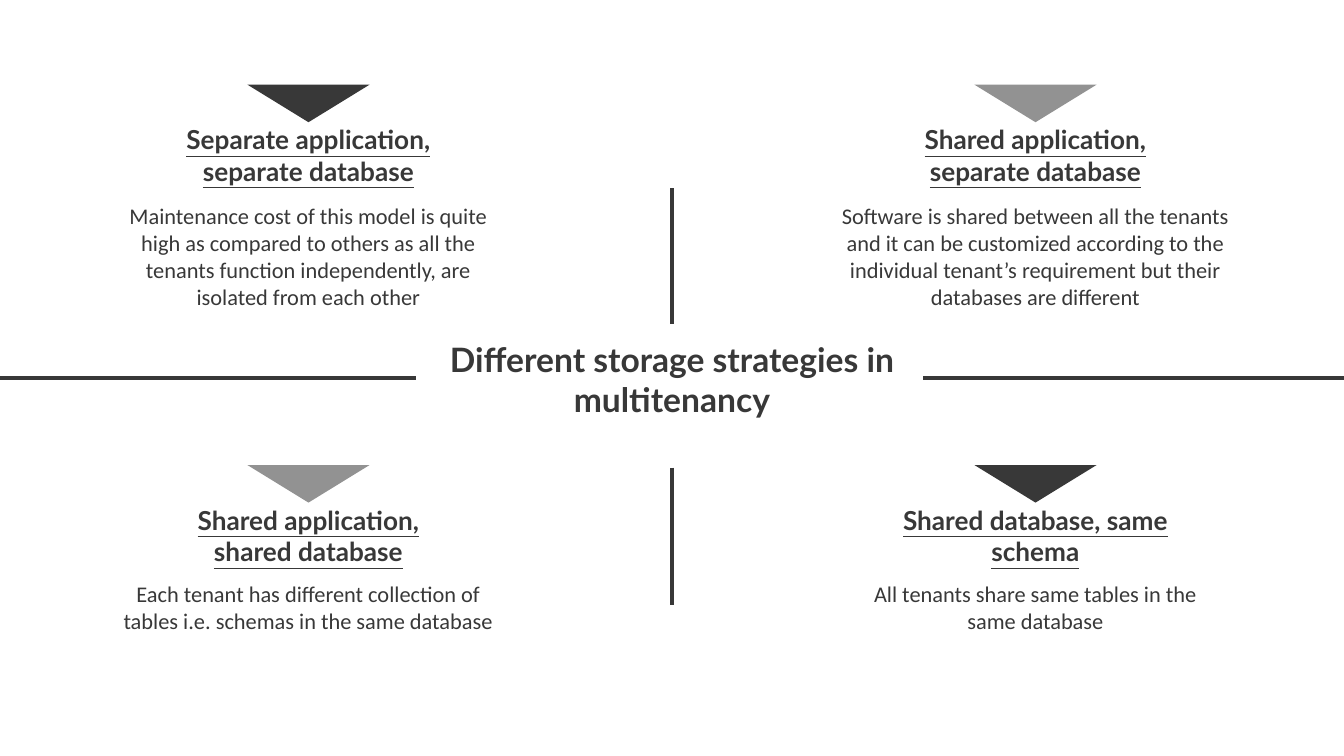
"""Build a four-quadrant slide on storage strategies in multitenancy."""
from dataclasses import dataclass

from lxml.etree import SubElement
from pptx import Presentation
from pptx.dml.color import RGBColor
from pptx.enum.shapes import MSO_CONNECTOR as Connector, MSO_SHAPE as Shape
from pptx.enum.text import MSO_ANCHOR as Anchor, MSO_AUTO_SIZE as AutoSize, PP_ALIGN as Align
from pptx.oxml.ns import qn
from pptx.util import Cm, Pt


@dataclass(frozen=True)
class Theme:
    dark: RGBColor = RGBColor(0x38, 0x38, 0x38)
    gray: RGBColor = RGBColor(0x92, 0x92, 0x92)
    heading_font: str = "Lato"
    body_font: str = "Calibri"
    title_size: Pt = Pt(18)
    heading_size: Pt = Pt(14)
    body_size: Pt = Pt(12)
    rule_width: Pt = Pt(2.25)


THEME = Theme()
LEFT, CENTER, RIGHT = 5.83, 12.7, 19.57
TOP_ROW, BOTTOM_ROW = (1.6, 3.58, 2.72), (8.79, 10.72, 2.39)

STRATEGIES = [
    (LEFT, TOP_ROW, THEME.dark, "Separate application, separate database", 7.59,
     "Maintenance cost of this model is quite high as compared to others as all "
     "the tenants function independently, are isolated from each other"),
    (RIGHT, TOP_ROW, THEME.gray, "Shared application, separate database", 8.23,
     "Software is shared between all the tenants and it can be customized according to "
     "the individual tenant\u2019s requirement but their databases are different"),
    (LEFT, BOTTOM_ROW, THEME.gray, "Shared application, shared database", 7.59,
     "Each tenant has different collection of tables i.e. schemas in the same database"),
    (RIGHT, BOTTOM_ROW, THEME.dark, "Shared database, same schema", 7.59,
     "All tenants share same tables in the same database"),
]
RULES = [
    (-0.05, 7.14, 7.87, 7.14),
    (17.45, 7.14, 25.4, 7.14),
    (CENTER, 8.84, CENTER, 11.43),
    (CENTER, 3.56, CENTER, 6.12),
]


def centered(middle, top, width, height):
    """Return the frame of an element centered on a vertical axis."""
    return Cm(middle - width / 2), Cm(top), Cm(width), Cm(height)


def write(frame, words, font_name, size, bold=False, underline=None, anchor=Anchor.TOP):
    """Fill a text frame with one centered run."""
    frame.word_wrap = True
    frame.auto_size = AutoSize.NONE
    frame.vertical_anchor = anchor
    frame.margin_left = frame.margin_right = Cm(0.25)
    frame.margin_top = frame.margin_bottom = Cm(0.25)
    paragraph = frame.paragraphs[0]
    paragraph.alignment = Align.CENTER
    run = paragraph.add_run()
    run.text = words
    run.font.name, run.font.size = font_name, size
    run.font.bold, run.font.underline = bold, underline
    run.font.color.rgb = THEME.dark


def add_title(slide, words):
    """Place the slide title in the middle."""
    title = slide.shapes.title
    title.left, title.top, title.width, title.height = centered(CENTER, 6.15, 9.73, 1.98)
    write(title.text_frame, words, THEME.heading_font, THEME.title_size, bold=True)


def add_marker(slide, middle, top, color):
    """Add a triangle that points down."""
    marker = slide.shapes.add_shape(Shape.ISOSCELES_TRIANGLE, *centered(middle, top, 2.31, 0.71))
    marker.rotation = 180
    marker.shadow.inherit = False
    marker.fill.solid()
    marker.fill.fore_color.rgb = color
    marker.line.fill.background()


def add_strategy(slide, middle, row, color, name, width, description):
    """Add one strategy with its marker, heading and description."""
    marker_top, description_top, description_height = row
    add_marker(slide, middle, marker_top, color)
    heading = slide.shapes.add_textbox(*centered(middle, marker_top + 0.86, 6.22, 0.94))
    write(heading.text_frame, name, THEME.heading_font, THEME.heading_size,
          bold=True, underline=True, anchor=Anchor.MIDDLE)
    body = slide.shapes.add_textbox(
        *centered(middle, description_top, width, description_height))
    write(body.text_frame, description, THEME.body_font, THEME.body_size)


def add_rule(slide, *ends):
    """Add a straight dividing line."""
    rule = slide.shapes.add_connector(Connector.STRAIGHT, *map(Cm, ends))
    rule.line.color.rgb = THEME.dark
    rule.line.width = THEME.rule_width
    SubElement(rule.element.spPr, qn("a:effectLst"))


def main():
    """Build and save the slide."""
    deck = Presentation()
    deck.slide_width, deck.slide_height = Cm(25.4), Cm(14.29)
    slide = deck.slides.add_slide(deck.slide_layouts.get_by_name("Title Only"))
    add_title(slide, "Different storage strategies in multitenancy")
    for strategy in STRATEGIES:
        add_strategy(slide, *strategy)
    for ends in RULES:
        add_rule(slide, *ends)
    deck.save("out.pptx")


main()
